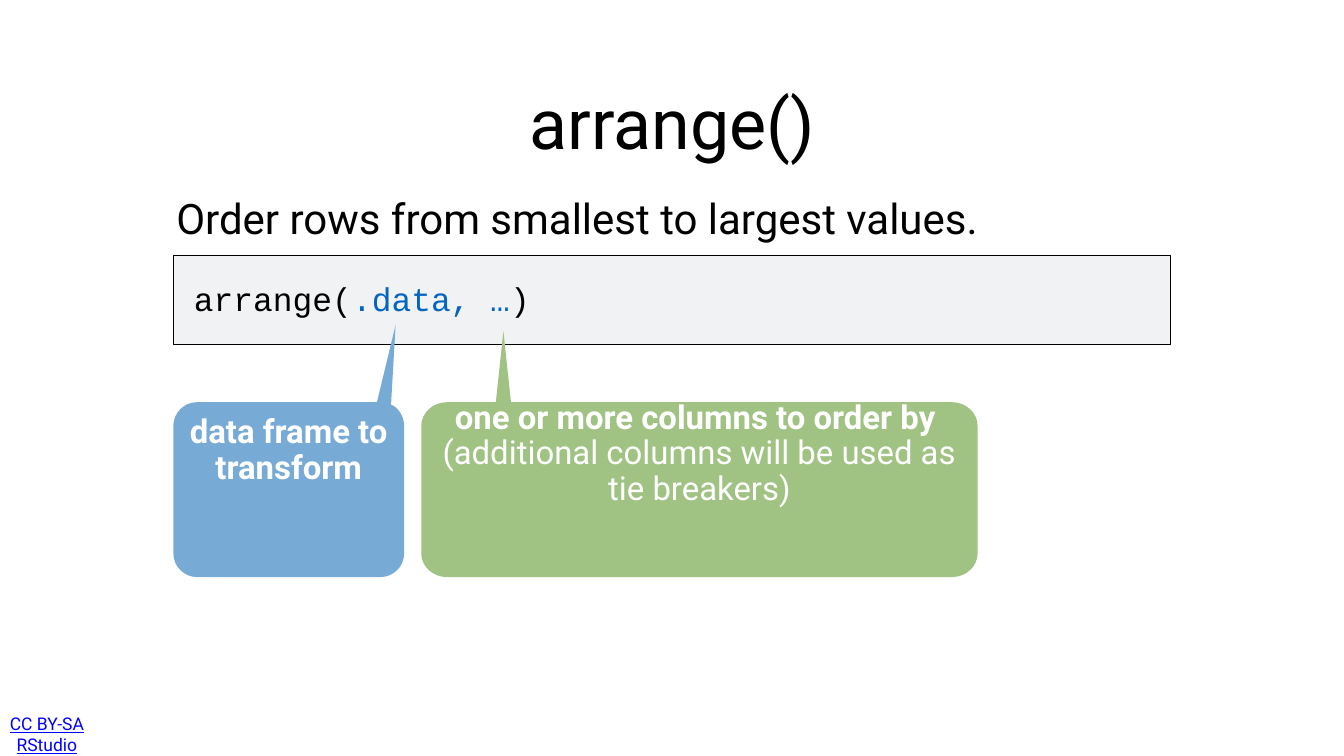
from dataclasses import dataclass

from lxml import etree
from pptx import Presentation
from pptx.dml.color import RGBColor
from pptx.enum.shapes import MSO_SHAPE
from pptx.enum.text import MSO_ANCHOR, PP_ALIGN
from pptx.oxml.ns import qn
from pptx.util import Inches, Pt

RECT = MSO_SHAPE.RECTANGLE
TOP, MIDDLE = MSO_ANCHOR.TOP, MSO_ANCHOR.MIDDLE
LEFT, CENTER = PP_ALIGN.LEFT, PP_ALIGN.CENTER
SANS, MONO = "Roboto", "Courier New"
COLORS = {
    "black": "000000", "white": "FFFFFF", "panel": "F0F2F4", "link": "0000FF",
    "code": "0365C0", "green": "A0C283", "blue": "78AAD6",
}
BODY_TOP, BODY_END, RADIUS = 7.98, 11.45, 0.47
BEND = 0.55

Point = tuple[float, float]


@dataclass
class Run:
    text: str
    size: float
    color: str = "black"
    font: str = SANS
    bold: bool = False
    under: bool = False


@dataclass
class Label:
    box: tuple[float, float, float, float]
    runs: list[Run]
    align: PP_ALIGN = LEFT
    anchor: MSO_ANCHOR = MIDDLE
    inset: float = 0.06


@dataclass
class Callout:
    left: float
    right: float
    round: float
    tip: Point
    base: Point
    bend: Point
    join: list[Point]
    color: str
    lines: list[Run]


def rgb(name: str) -> RGBColor:
    return RGBColor.from_string(COLORS[name])


def set_frame(frame, anchor: MSO_ANCHOR, inset: float) -> None:
    frame.word_wrap = True
    frame.vertical_anchor = anchor
    frame.margin_left = frame.margin_right = Inches(inset)
    frame.margin_top = frame.margin_bottom = Inches(inset)


def add_run(para, item: Run) -> None:
    run = para.add_run()
    run.text = item.text
    font = run.font
    font.name, font.size = item.font, Pt(item.size)
    font.bold, font.underline = item.bold, item.under
    font.color.rgb = rgb(item.color)


def add_label(slide, label: Label) -> None:
    frame = slide.shapes.add_textbox(*map(Inches, label.box)).text_frame
    set_frame(frame, label.anchor, label.inset)
    para = frame.paragraphs[0]
    para.alignment = label.align
    for item in label.runs:
        add_run(para, item)


def add_panel(slide) -> None:
    box = map(Inches, (3.45, 5.06, 19.77, 1.77))
    panel = slide.shapes.add_shape(RECT, *box)
    panel.shadow.inherit = False
    panel.fill.solid()
    panel.fill.fore_color.rgb = rgb("panel")
    panel.line.color.rgb = rgb("black")
    panel.line.width = Pt(1)


def ease(end: Point, corner: Point) -> Point:
    return tuple(e + BEND * (c - e) for e, c in zip(end, corner))


def curve(shape, line, start: Point, corner: Point, end: Point) -> None:
    line.tag = qn("a:cubicBezTo")
    for index, (x, y) in enumerate((ease(start, corner), ease(end, corner))):
        mark = etree.Element(qn("a:pt"))
        mark.set("x", str(Inches(x) - shape.left))
        mark.set("y", str(Inches(y) - shape.top))
        line.insert(index, mark)


def outline(slide, item: Callout):
    left, right = item.left, item.right
    west, east = left + item.round, right - item.round
    north, south = BODY_TOP + RADIUS, BODY_END - RADIUS
    corners = [
        ((west, BODY_TOP), (left, BODY_TOP), (left, north)),
        ((left, south), (left, BODY_END), (west, BODY_END)),
        ((east, BODY_END), (right, BODY_END), (right, south)),
        ((right, north), item.bend, item.join[0]),
    ]
    ends = [spot for start, _, end in corners for spot in (start, end)]
    points = [item.base, *ends, *item.join[1:]]
    pen = slide.shapes.build_freeform(*map(Inches, item.tip))
    pen.add_line_segments([(Inches(x), Inches(y)) for x, y in points], close=True)
    shape = pen.convert_to_shape()
    lines = list(shape.element.iter(qn("a:lnTo")))
    for line, corner in zip(lines[2:9:2], corners):
        curve(shape, line, *corner)
    return shape


def add_callout(slide, item: Callout) -> None:
    shape = outline(slide, item)
    shape.shadow.inherit = False
    shape.fill.solid()
    shape.fill.fore_color.rgb = rgb(item.color)
    shape.line.fill.background()
    frame = shape.text_frame
    set_frame(frame, MIDDLE, 0.08)
    for index, line in enumerate(item.lines):
        para = frame.add_paragraph() if index else frame.paragraphs[0]
        para.alignment, para.line_spacing = CENTER, 0.9
        add_run(para, line)


LABELS = [
    Label((0.03, 14.26, 1.8, 0.6),
          [Run("CC BY-SA RStudio", 25, "link", under=True)], CENTER, inset=0.08),
    Label((4.4, 1.1, 17.9, 2.62), [Run("arrange()", 100)], CENTER),
    Label((3.44, 3.54, 18.23, 1.56),
          [Run("Order rows from smallest to largest values.", 60)]),
    Label((3.79, 5.46, 17.24, 1.56),
          [Run("arrange(", 47, font=MONO), Run(".data, …", 47, "code", MONO),
           Run(")", 47, font=MONO)], anchor=TOP),
]
CALLOUTS = [
    Callout(8.36, 19.4, 0.51, (9.99, 6.57), (9.84, BODY_TOP), (19.4, BODY_TOP),
            [(18.89, BODY_TOP), (10.14, BODY_TOP)], "green",
            [Run("one or more columns to order by ", 47, "white", bold=True),
             Run("(additional columns will be used as tie breakers)", 47, "white")]),
    Callout(3.44, 8.02, RADIUS, (7.85, 6.45), (7.48, BODY_TOP), (8.02, 8.12),
            [(7.76, 8.03)], "blue",
            [Run("data frame to transform", 47, "white", bold=True)]),
]


def main() -> None:
    deck = Presentation()
    deck.slide_width, deck.slide_height = Inches(26.67), Inches(15)
    slide = deck.slides.add_slide(deck.slide_layouts[6])
    add_panel(slide)
    for label in LABELS:
        add_label(slide, label)
    for item in CALLOUTS:
        add_callout(slide, item)
    deck.save("out.pptx")


if __name__ == "__main__":
    main()
